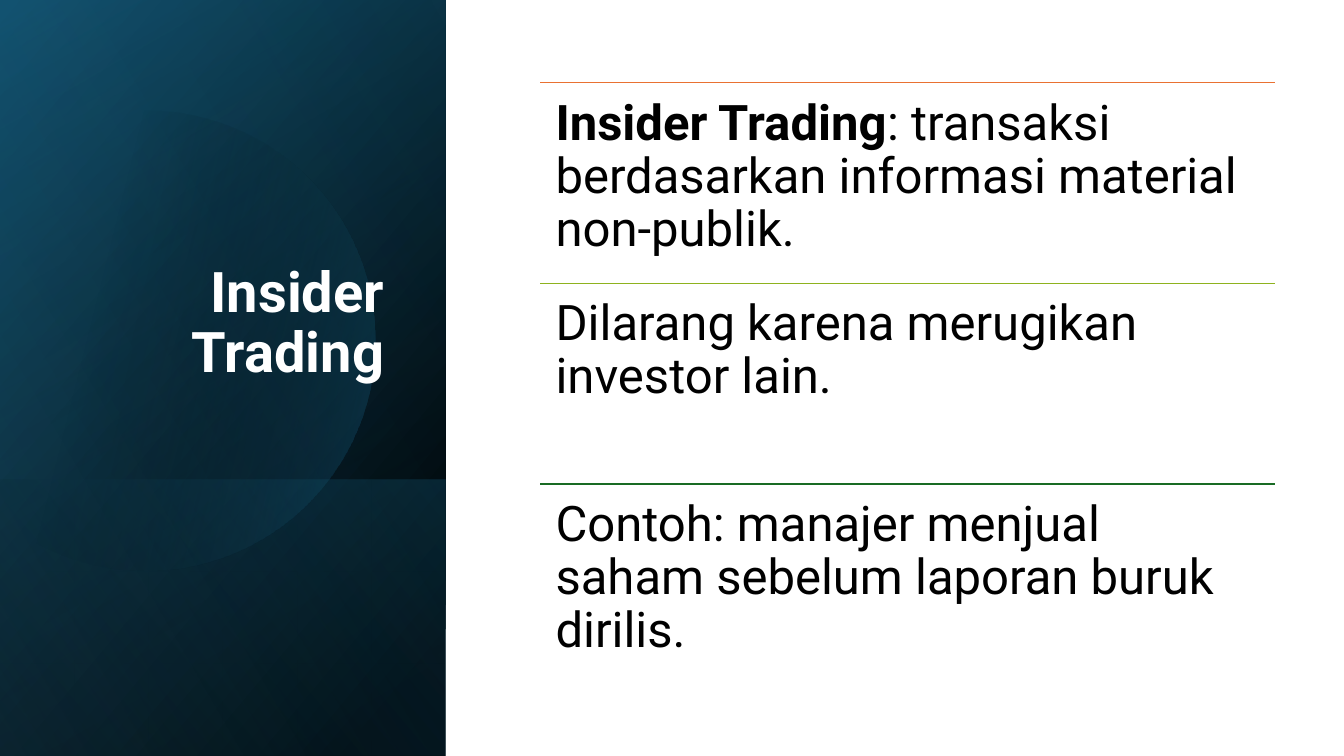
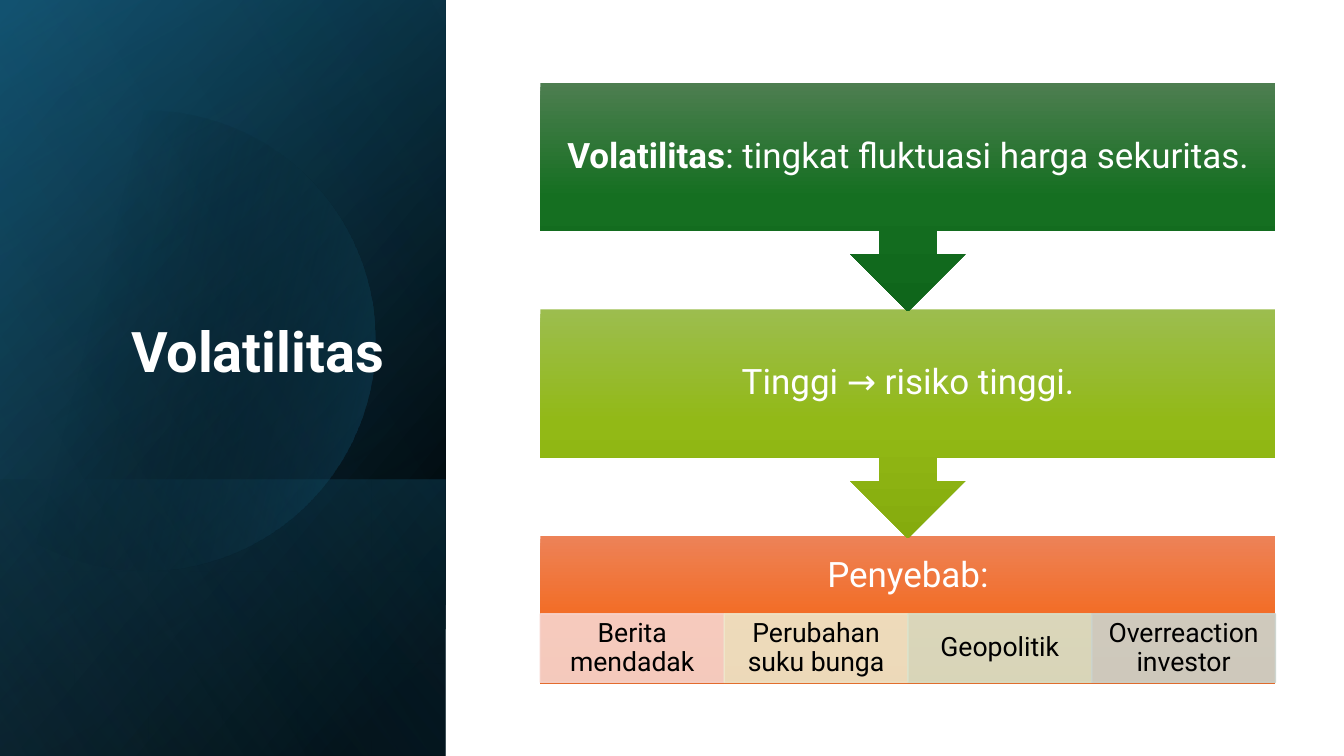
from dataclasses import dataclass
from math import acos, cos, sin

from pptx import Presentation
from pptx.dml.color import RGBColor
from pptx.enum.shapes import MSO_CONNECTOR as Link, MSO_SHAPE as Kind
from pptx.enum.text import MSO_ANCHOR as Anchor, MSO_AUTO_SIZE as Fit, PP_ALIGN as Align
from pptx.oxml import parse_xml
from pptx.oxml.ns import nsdecls, qn
from pptx.oxml.xmlchemy import OxmlElement
from pptx.util import Inches, Pt

FONT = "Roboto"
WHITE, BLACK = "FFFFFF", "000000"
NAVY, TEAL, SKY = "104862", "156082", "46B1E1"
WIDE, HIGH = 13.33, 7.5
SIDE = 4.42
LEFT, TOP, SPAN = 5.36, 0.82, 7.29


@dataclass(frozen=True)
class Stop:
    pos: int
    tint: str
    alpha: int = 100


@dataclass(frozen=True)
class Layer:
    top: float
    angle: int
    stops: tuple[Stop, ...]


@dataclass(frozen=True)
class Point:
    text: str
    tint: str
    lead: str = ""


@dataclass(frozen=True)
class Step:
    text: str
    tints: tuple[str, str, str]
    lead: str = ""


@dataclass(frozen=True)
class Tile:
    text: str
    tint: str


LAYERS = (
    Layer(0, 220, (Stop(8, BLACK), Stop(100, NAVY))),
    Layer(0, 240, (Stop(0, BLACK, 0), Stop(99, TEAL, 46))),
    Layer(4.76, 140, (Stop(2, TEAL, 29), Stop(100, BLACK, 30))),
)
DISC = Layer(1.1, 14, (Stop(29, BLACK, 0), Stop(100, TEAL, 43)))
GLOW = Layer(0, 150, (Stop(0, BLACK, 0), Stop(99, SKY, 11)))

POINTS = (
    Point(": transaksi berdasarkan informasi material non-publik.", "E97132", "Insider Trading"),
    Point("Dilarang karena merugikan investor lain.", "8EB21E"),
    Point("Contoh: manajer menjual saham sebelum laporan buruk dirilis.", "196B24"),
)
STEPS = (
    Step(": tingkat fluktuasi harga sekuritas.", ("4D7E50", "156F21", "0F661B"), "Volatilitas"),
    Step("Tinggi → risiko tinggi.", ("9CBD4E", "92B916", "85AB0D")),
    Step("Penyebab:", ("ED8257", "F26E29", "E25F1A")),
)
TILES = (
    Tile("Berita mendadak", "F7D5CE"),
    Tile("Perubahan suku bunga", "EEE7CB"),
    Tile("Geopolitik", "D8E2CA"),
    Tile("Overreaction investor", "CCD4CD"),
)


def color(tint: str) -> RGBColor:
    return RGBColor.from_string(tint)


def shade(shape, stops: tuple[Stop, ...], angle: int) -> None:
    """Give a shape a linear gradient, with no line and no shadow."""
    marks = "".join(
        f'<a:gs pos="{s.pos * 1000}"><a:srgbClr val="{s.tint}">'
        f'<a:alpha val="{s.alpha * 1000}"/></a:srgbClr></a:gs>'
        for s in stops
    )
    shape.fill.solid()
    props = shape.element.spPr
    props.replace(props.find(qn("a:solidFill")), parse_xml(
        f'<a:gradFill {nsdecls("a")} rotWithShape="1"><a:gsLst>{marks}</a:gsLst>'
        f'<a:lin ang="{angle * 60000}" scaled="0"/></a:gradFill>'
    ))
    shape.line.fill.background()
    shape.shadow.inherit = False


def box(slide, kind: Kind, x: float, y: float, w: float, h: float):
    return slide.shapes.add_shape(kind, Inches(x), Inches(y), Inches(w), Inches(h))


def write(shape, text: str, size: int, tint: str, lead: str = "", bold: bool = False,
          align: Align = Align.CENTER, anchor: Anchor = Anchor.MIDDLE,
          pad: tuple[float, float, float, float] = (0.19, 0.19, 0.19, 0.19)) -> None:
    """Set one paragraph, with an optional bold lead; pad is left, top, right, bottom."""
    frame = shape.text_frame
    frame.word_wrap = True
    frame.auto_size = Fit.NONE
    frame.vertical_anchor = anchor
    (frame.margin_left, frame.margin_top,
     frame.margin_right, frame.margin_bottom) = map(Inches, pad)
    para = frame.paragraphs[0]
    para.alignment = align
    para.line_spacing = 0.9
    para.space_before = Pt(0)
    if lead:
        run = para.add_run()
        run.text = lead
        run.font.bold = True
    para.add_run().text = text
    font = para.font
    font.name, font.size, font.bold = FONT, Pt(size), bold
    font.color.rgb = color(tint)


def draw_disc(slide, radius: float = 2.28, mid: float = 1.44, count: int = 90) -> None:
    """Draw a disc that is cut off at the left edge of the slide."""
    limit = acos(-mid / radius)
    turns = [limit * (2 * i / count - 1) for i in range(count + 1)]
    spots = [(Inches(mid + radius * cos(t)), Inches(DISC.top + radius + radius * sin(t)))
             for t in turns]
    pen = slide.shapes.build_freeform(*spots[0])
    pen.add_line_segments(spots[1:], close=True)
    shade(pen.convert_to_shape(), DISC.stops, DISC.angle)


def draw_layer(slide, layer: Layer) -> None:
    shape = box(slide, Kind.RECTANGLE, 0, layer.top, SIDE, HIGH - layer.top)
    shade(shape, layer.stops, layer.angle)


def add_slide(deck, name: str):
    """Add a slide with the dark side panel and its title."""
    slide = deck.slides.add_slide(deck.slide_layouts[5])
    for layer in LAYERS:
        draw_layer(slide, layer)
    draw_disc(slide)
    draw_layer(slide, GLOW)
    title = slide.shapes.title
    title.left, title.top = Inches(0.64), Inches(1.84)
    title.width, title.height = Inches(3.41), Inches(2.62)
    write(title, name, 40, WHITE, bold=True, align=Align.RIGHT,
          anchor=Anchor.BOTTOM, pad=(0.1, 0.05, 0.24, 0.64))
    title.element.getparent().append(title.element)
    return slide


def draw_points(slide, pitch: float = 1.99) -> None:
    for i, point in enumerate(POINTS):
        y = TOP + i * pitch
        rule = slide.shapes.add_connector(
            Link.STRAIGHT, Inches(LEFT), Inches(y), Inches(LEFT + SPAN), Inches(y))
        rule.line.color.rgb = color(point.tint)
        rule.line.width = Pt(1)
        rule.element.spPr.append(OxmlElement("a:effectLst"))
        area = slide.shapes.add_textbox(
            Inches(LEFT), Inches(y), Inches(SPAN), Inches(pitch))
        write(area, point.text, 35, BLACK, point.lead, align=Align.LEFT,
              anchor=Anchor.TOP, pad=(0.15, 0.15, 0.15, 0.15))


def draw_tiles(slide, y: float) -> None:
    width = SPAN / len(TILES)
    for i, tile in enumerate(TILES):
        shape = box(slide, Kind.RECTANGLE, LEFT + i * width, y, width, 0.68)
        shape.shadow.inherit = False
        shape.fill.solid()
        shape.fill.fore_color.rgb = shape.line.color.rgb = color(tile.tint)
        shape.line.width = Pt(1)
        for node in shape.element.spPr.iter(qn("a:srgbClr")):
            alpha = OxmlElement("a:alpha")
            alpha.set("val", "90000")
            node.append(alpha)
        write(shape, tile.text, 19, BLACK, pad=(0.15, 0.03, 0.15, 0.03))


def draw_steps(slide, pitch: float = 2.25, body: float = 1.47, full: float = 2.27) -> None:
    """Stack the steps from the last to the first, so each arrow tip lies on top."""
    last = len(STEPS) - 1
    for i, step in reversed(list(enumerate(STEPS))):
        y = TOP + i * pitch
        if i == last:
            shape = box(slide, Kind.RECTANGLE, LEFT, y, SPAN, body)
            pad = (0.19, 0.19, 0.19, 0.86)
            draw_tiles(slide, y + 0.77)
        else:
            shape = box(slide, Kind.DOWN_ARROW_CALLOUT, LEFT, y, SPAN, full)
            for j, value in enumerate((0.25, 0.25, 0.25, body / full)):
                shape.adjustments[j] = value
            pad = (0.19, 0.19, 0.19, 0.19)
        shade(shape, tuple(Stop(50 * j, t) for j, t in enumerate(step.tints)), 90)
        write(shape, step.text, 25, WHITE, step.lead, pad=pad)


def main() -> None:
    deck = Presentation()
    deck.slide_width, deck.slide_height = Inches(WIDE), Inches(HIGH)
    draw_points(add_slide(deck, "Insider Trading"))
    draw_steps(add_slide(deck, "Volatilitas"))
    deck.save("out.pptx")


if __name__ == "__main__":
    main()
